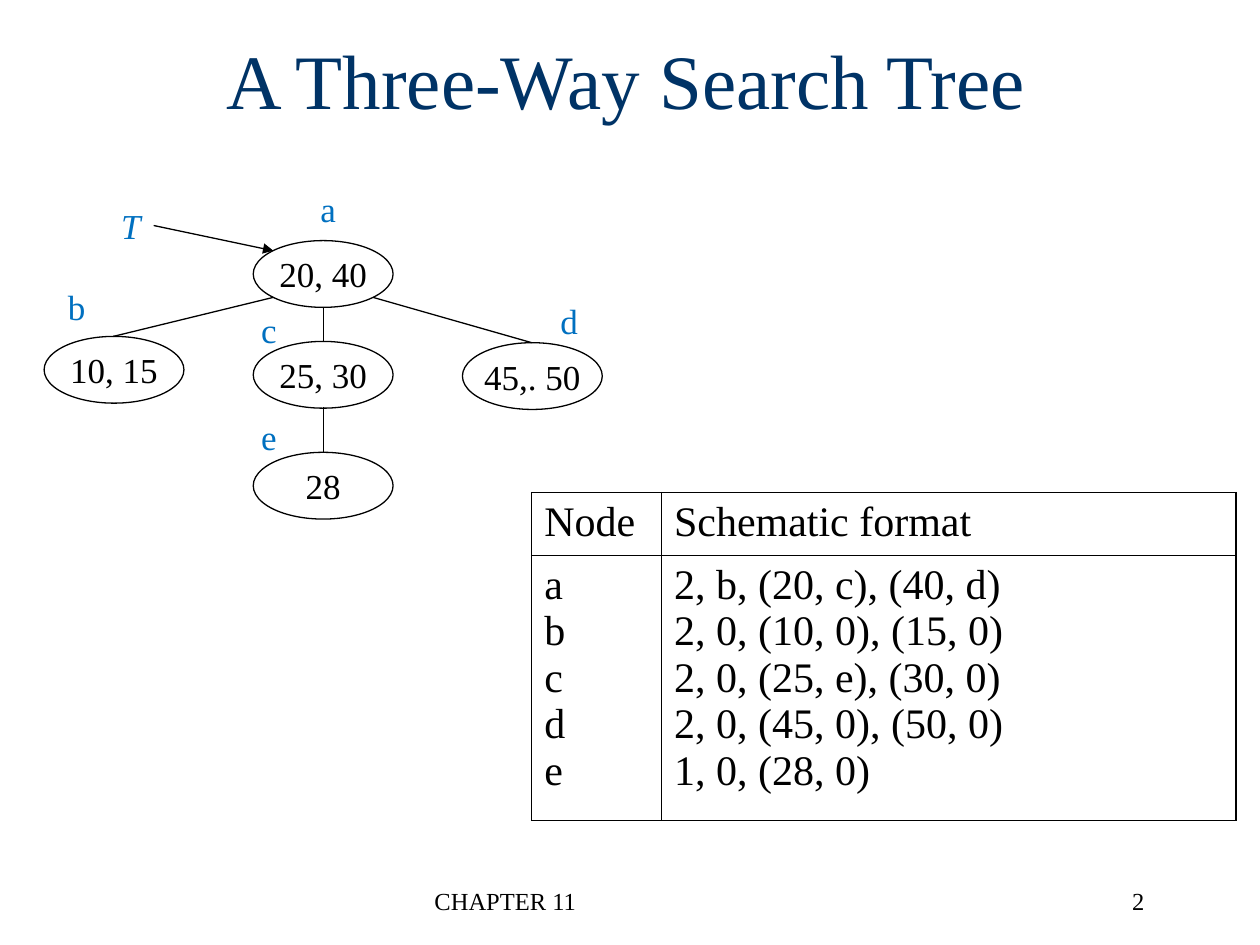
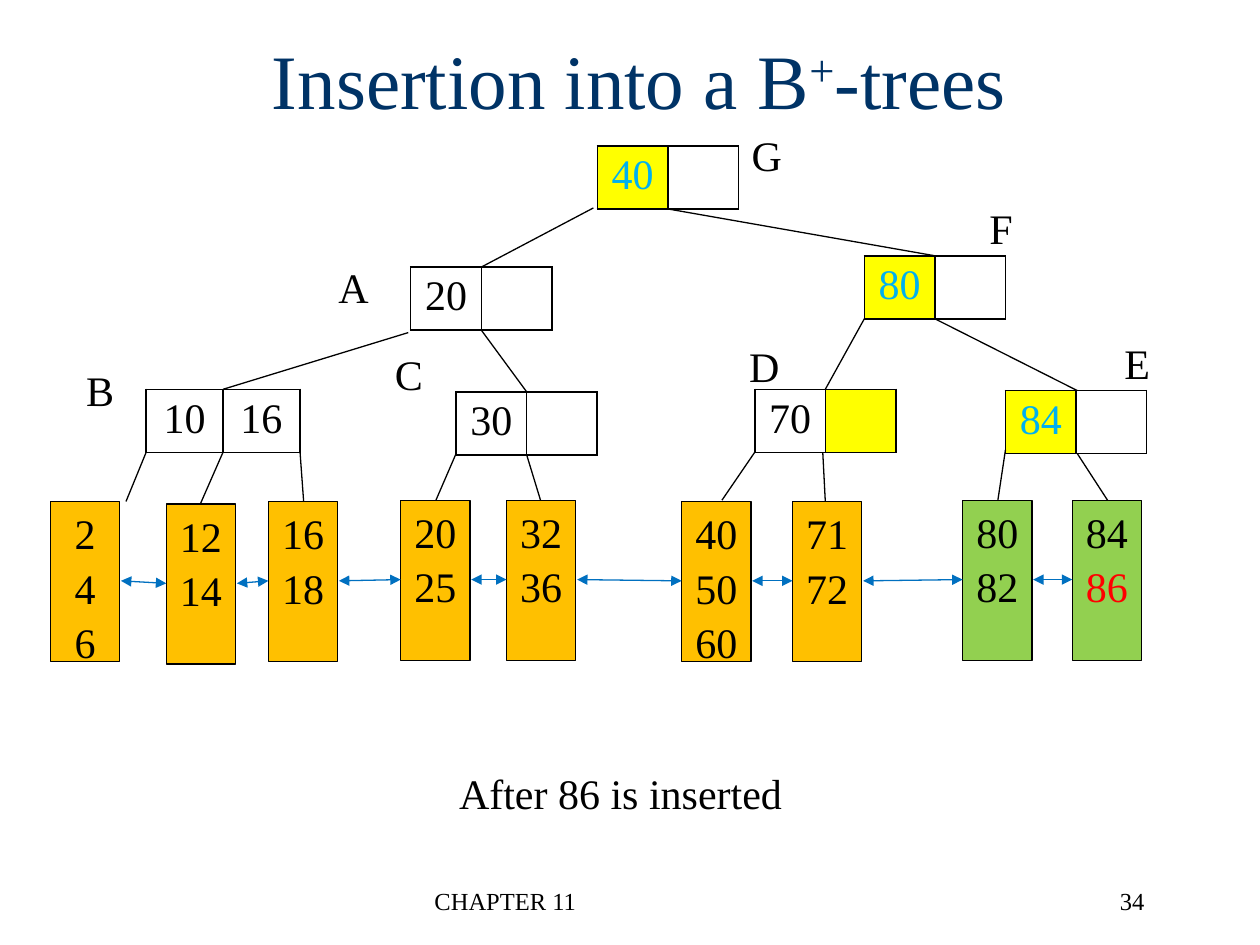
from itertools import pairwise

from lxml.etree import SubElement
from pptx import Presentation
from pptx.dml.color import RGBColor as Rgb
from pptx.enum.shapes import MSO_CONNECTOR as Link, MSO_SHAPE as Form
from pptx.enum.text import MSO_ANCHOR as Anchor, PP_ALIGN as Align
from pptx.oxml.ns import qn
from pptx.util import Inches, Pt

COLORS = {
    "ink": "000000",
    "paper": "FFFFFF",
    "title": "003366",
    "blue": "0070C0",
    "sky": "00B0F0",
    "gold": "FFC000",
    "green": "92D050",
    "yellow": "FFFF00",
    "red": "FF0000",
}
FONT = "Times New Roman"
THIN = Pt(0.75)


def tint(name):
    return Rgb.from_string(COLORS[name])


class Deck:
    def __init__(self):
        self.prs = Presentation()
        self.prs.slide_width, self.prs.slide_height = Inches(10), Inches(7.5)
        self.slide = None

    def letter(self, frame, text, size, color="ink", align=Align.CENTER, gap=0):
        frame.text = text
        for i, para in enumerate(frame.paragraphs):
            para.alignment = align
            para.space_before = Pt(gap if i else 0)
            for run in para.runs:
                run.font.name = FONT
                run.font.size = Pt(size)
                run.font.color.rgb = tint(color)

    def start(self, title, number, left, width):
        self.slide = self.prs.slides.add_slide(self.prs.slide_layouts[5])
        head = self.slide.shapes.title
        head.left, head.top = Inches(left), Inches(0)
        head.width, head.height = Inches(width), Inches(1.25)
        head.text_frame.vertical_anchor = Anchor.MIDDLE
        self.letter(head.text_frame, title, 44, "title")
        self.label("CHAPTER 11", 3.35, 6.98, 3.17, 14, align=Align.LEFT, wrap=True)
        self.label(str(number), 7.1, 6.98, 2.08, 14, align=Align.RIGHT, wrap=True)
        return head.text_frame.paragraphs[0]

    def label(self, text, x, y, width, size=24, color="ink", align=Align.CENTER, wrap=False):
        box = self.slide.shapes.add_textbox(Inches(x), Inches(y), Inches(width), Inches(0.5))
        box.text_frame.word_wrap = wrap
        self.letter(box.text_frame, text, size, color, align)
        return box

    def block(self, form, text, x, y, width, height, size, fill, anchor, gap=0):
        shape = self.slide.shapes.add_shape(
            form, Inches(x), Inches(y), Inches(width), Inches(height))
        shape.shadow.inherit = False
        shape.fill.solid()
        shape.fill.fore_color.rgb = tint(fill)
        shape.line.color.rgb = tint("ink")
        shape.line.width = THIN
        shape.text_frame.word_wrap = False
        shape.text_frame.vertical_anchor = anchor
        self.letter(shape.text_frame, text, size, gap=gap)
        return shape

    def oval(self, text, x, y):
        self.block(Form.OVAL, text, x, y, 1.11, 0.53, 20, "paper", Anchor.MIDDLE)

    def leaf(self, text, x, y, fill):
        return self.block(Form.RECTANGLE, text, x, y, 0.55, 1.27, 24, fill, Anchor.TOP, 2.3)

    def line(self, x1, y1, x2, y2, color="ink", ends=()):
        link = self.slide.shapes.add_connector(
            Link.STRAIGHT, Inches(x1), Inches(y1), Inches(x2), Inches(y2))
        link.line.color.rgb = tint(color)
        link.line.width = THIN
        props = link._element.spPr
        for end in ends:
            SubElement(props.find(qn("a:ln")), qn(f"a:{end}"), type="triangle")
        SubElement(props, qn("a:effectLst"))

    def edge(self, cell):
        props = cell._tc.get_or_add_tcPr()
        for spot, side in enumerate(("lnL", "lnR", "lnT", "lnB")):
            line = props.makeelement(qn(f"a:{side}"), {"w": str(Pt(1))})
            fill = SubElement(line, qn("a:solidFill"))
            SubElement(fill, qn("a:srgbClr"), val=COLORS["ink"])
            props.insert(spot, line)

    def table(self, rows, x, y, widths, heights, align=Align.CENTER):
        grid = self.slide.shapes.add_table(
            len(rows), len(widths), Inches(x), Inches(y),
            Inches(sum(widths)), Inches(sum(heights))).table
        grid.first_row = grid.horz_banding = False
        for col, width in zip(grid.columns, widths):
            col.width = Inches(width)
        for row, height, cells in zip(grid.rows, heights, rows):
            row.height = Inches(height)
            for cell, (text, color, fill) in zip(row.cells, cells):
                self.letter(cell.text_frame, text, 24, color, align)
                cell.fill.solid()
                cell.fill.fore_color.rgb = tint(fill)
                self.edge(cell)


def search(deck):
    deck.start("A Three-Way Search Tree", 2, 0.72, 8.5)
    for text, x, y in (
        ("20, 40", 2.01, 1.91), ("10, 15", 0.35, 2.67), ("45,. 50", 3.67, 2.72),
        ("25, 30", 2.01, 2.71), ("28", 2.01, 3.59),
    ):
        deck.oval(text, x, y)
    for ends in (
        (0.9, 2.67, 2.17, 2.36), (2.96, 2.36, 4.22, 2.72),
        (2.57, 2.44, 2.57, 2.71), (2.57, 3.23, 2.57, 3.59),
    ):
        deck.line(*ends)
    for text, x, y in (
        ("a", 2.44, 1.44), ("b", 0.44, 2.22), ("d", 4.35, 2.33),
        ("c", 1.97, 2.4), ("e", 1.97, 3.25),
    ):
        deck.label(text, x, y, 0.33, 20, "blue")
    root = deck.label("T", 0.86, 1.57, 0.36, 20, "blue")
    root.text_frame.paragraphs[0].runs[0].font.italic = True
    deck.line(1.22, 1.79, 2.17, 1.99, ends=["tailEnd"])
    nodes = {
        "a": "2, b, (20, c), (40, d)",
        "b": "2, 0, (10, 0), (15, 0)",
        "c": "2, 0, (25, e), (30, 0)",
        "d": "2, 0, (45, 0), (50, 0)",
        "e": "1, 0, (28, 0)",
    }
    rows = [("Node", "Schematic format"), ("\n".join(nodes), "\n".join(nodes.values()))]
    cells = [[(text, "ink", "paper") for text in row] for row in rows]
    deck.table(cells, 4.22, 3.91, (1.03, 4.56), (0.5, 2.1), Align.LEFT)


def insert(deck):
    title = deck.start("Insertion into a B", 34, 0.64, 8.86)
    for text in ("+", "-trees"):
        run = title.add_run()
        run.text = text
        run.font.name, run.font.size = FONT, Pt(44)
        run.font.color.rgb = tint("title")
    title.runs[1]._r.get_or_add_rPr().set("baseline", "30000")

    blank = ("", "ink", "paper")
    for x, y, width, height, cells in (
        (4.74, 1.16, 0.56, 0.5, [("40", "sky", "yellow"), blank]),
        (3.26, 2.12, 0.56, 0.47, [("20", "ink", "paper"), blank]),
        (6.86, 2.03, 0.56, 0.5, [("80", "sky", "yellow"), blank]),
        (1.16, 3.09, 0.61, 0.47, [("10", "ink", "paper"), ("16", "ink", "paper")]),
        (3.62, 3.11, 0.56, 0.5, [("30", "ink", "paper"), blank]),
        (5.99, 3.09, 0.56, 0.47, [("70", "ink", "paper"), ("", "ink", "yellow")]),
        (7.98, 3.1, 0.56, 0.5, [("84", "sky", "yellow"), blank]),
    ):
        deck.table([cells], x, y, (width, width), [height])

    for text, x, y, width in (
        ("A", 2.58, 2.03, 0.45), ("B", 0.58, 2.84, 0.43), ("C", 3.03, 2.72, 0.43),
        ("D", 5.84, 2.65, 0.45), ("E", 8.82, 2.63, 0.41), ("F", 7.75, 1.56, 0.39),
        ("G", 5.86, 0.98, 0.45), ("After 86 is inserted", 3.53, 6.04, 2.79),
    ):
        deck.label(text, x, y, width)

    for ends in (
        (4.71, 1.65, 3.82, 2.12), (5.31, 1.66, 7.42, 2.03),
        (3.24, 2.64, 1.77, 3.09), (3.82, 2.62, 4.18, 3.11),
        (6.86, 2.53, 6.55, 3.09), (7.42, 2.53, 8.55, 3.1),
        (1.16, 3.59, 1, 3.98), (1.77, 3.59, 1.59, 4), (2.38, 3.57, 2.41, 3.98),
        (3.62, 3.6, 3.46, 3.97), (4.18, 3.61, 4.29, 3.97),
        (5.99, 3.59, 5.73, 3.97), (6.53, 3.59, 6.55, 3.98),
        (7.98, 3.57, 7.92, 3.97), (8.55, 3.6, 8.79, 3.97),
    ):
        deck.line(*ends)

    leaves = (
        ("2\n4\n6", 0.4, 3.98, "gold"), ("12\n14", 1.32, 4, "gold"),
        ("16\n18", 2.13, 3.98, "gold"), ("20\n25", 3.18, 3.97, "gold"),
        ("32\n36", 4.02, 3.97, "gold"), ("40\n50\n60", 5.41, 3.98, "gold"),
        ("71\n72", 6.29, 3.98, "gold"), ("80\n82", 7.64, 3.97, "green"),
        ("84\n86", 8.51, 3.97, "green"),
    )
    boxes = [deck.leaf(*leaf) for leaf in leaves]
    boxes[-1].text_frame.paragraphs[1].runs[0].font.color.rgb = tint("red")
    for (_, x1, y1, _), (_, x2, y2, _) in pairwise(leaves):
        deck.line(x1 + 0.56, y1 + 0.63, x2, y2 + 0.63, "blue", ("headEnd", "tailEnd"))


def main():
    deck = Deck()
    search(deck)
    insert(deck)
    deck.prs.save("out.pptx")


if __name__ == "__main__":
    main()
